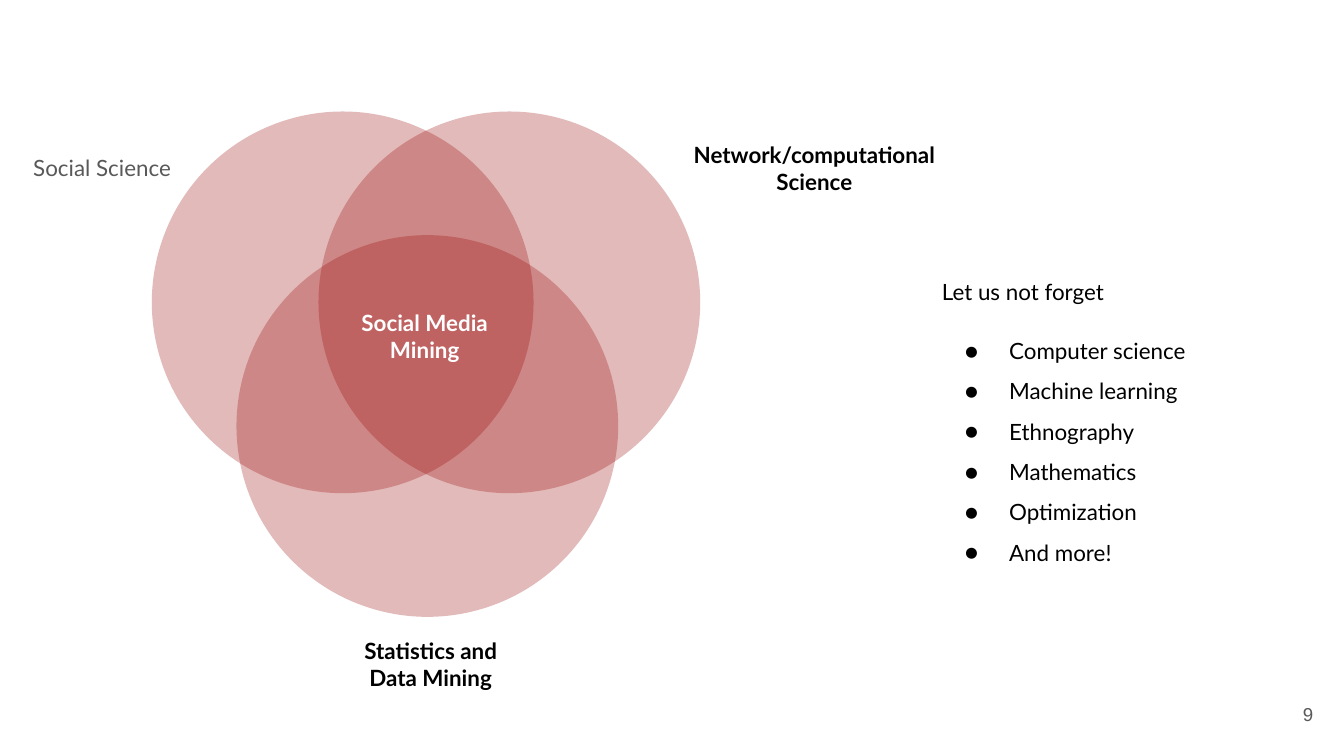
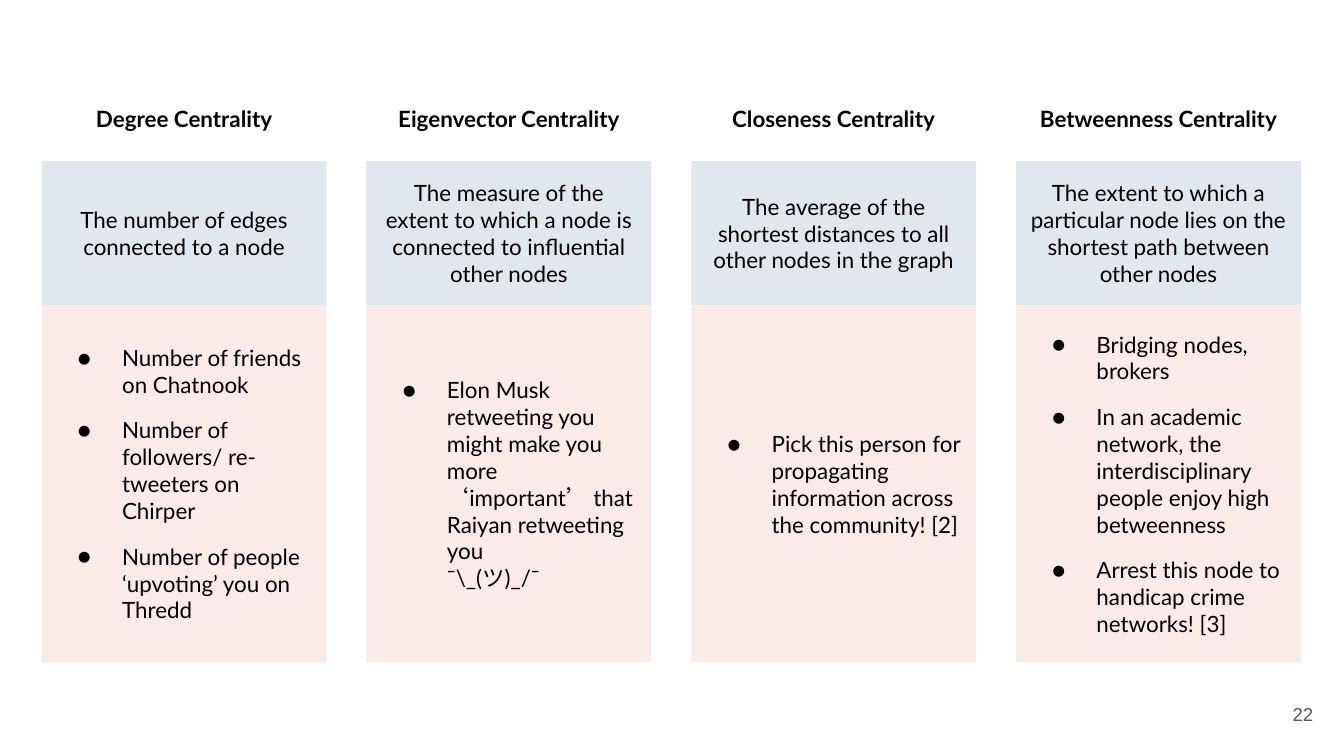
"""Build two slides: a Venn diagram of social media mining, and four centrality measures."""
from copy import deepcopy

from lxml.etree import SubElement as Sub
from pptx import Presentation
from pptx.dml.color import RGBColor as RGB
from pptx.enum.shapes import MSO_SHAPE as SHAPE
from pptx.enum.text import MSO_ANCHOR as ANCHOR, PP_ALIGN as ALIGN
from pptx.oxml.ns import qn
from pptx.util import Inches, Pt

COLORS = {"ink": "000000", "gray": "595959", "white": "FFFFFF",
          "venn": "980000", "blue": "003B71", "rose": "E6B8AF"}

CIRCLES = [(1.13, 0.83), (2.37, 0.83), (1.76, 1.75)]
LABELS = [
    ("Social Science", (0.12, 1.07, 1.28, 0.36), "gray", False),
    ("Network/computational Science", (4.96, 1.07, 2.2, 0.36), "ink", True),
    ("Statistics and Data Mining", (2.45, 4.76, 1.51, 0.36), "ink", True),
    ("Social Media Mining", (2.52, 2.26, 1.28, 0.48), "white", True),
]
FIELDS = ["Let us not forget", "Computer science", "Machine learning",
          "Ethnography", "Mathematics", "Optimization", "And more!"]

MEASURES = [
    ("Degree Centrality", "The number of edges connected to a node",
     ["Number of friends on Chatnook",
      "Number of followers/ re-tweeters on Chirper",
      "Number of people ‘upvoting’ you on Thredd"]),
    ("Eigenvector Centrality",
     "The measure of the extent to which a node is connected to influential other nodes",
     ["Elon Musk retweeting you might make you more ‘important’ "
      "that Raiyan retweeting you \n¯\\_(ツ)_/¯"]),
    ("Closeness Centrality",
     "The average of the shortest distances to all other nodes in the graph",
     ["Pick this person for propagating information across the community! [2]"]),
    ("Betweenness Centrality",
     "The extent to which a particular node lies on the shortest path between other nodes",
     ["Bridging nodes, brokers",
      "In an academic network, the interdisciplinary people enjoy high betweenness",
      "Arrest this node to handicap crime networks! [3]"]),
]
LEFT, LAST, WIDE = 0.31, 7.56, 2.12


def bullet(par, font):
    props = par._p.get_or_add_pPr()
    props.set("marL", str(Inches(0.5)))
    props.set("indent", str(Inches(-0.33)))
    tint = Sub(props, qn("a:buClr"))
    Sub(tint, qn("a:srgbClr"), val=COLORS["ink"])
    Sub(props, qn("a:buFont"), typeface=font)
    Sub(props, qn("a:buChar"), char="●")


def write(shape, lines, size=12, font="Lato", color="ink", bold=False,
          align=ALIGN.CENTER, anchor=ANCHOR.MIDDLE, space=None,
          before=(), after=0, dots=None):
    """Fill a shape with paragraphs; those from index dots on get bullets."""
    frame = shape.text_frame
    frame.word_wrap = True
    frame.vertical_anchor = anchor
    frame.margin_left = frame.margin_right = Inches(0.1)
    frame.margin_top = frame.margin_bottom = Inches(0.1)
    for i, line in enumerate(lines):
        par = frame.add_paragraph() if i else frame.paragraphs[0]
        par.text = line
        par.alignment = align
        par.line_spacing = space
        par.space_before = Pt(10 if i in before else 0)
        par.space_after = Pt(after if i == len(lines) - 1 else 0)
        if dots is not None and i >= dots:
            bullet(par, font)
        for run in par.runs:
            run.font.size = Pt(size)
            run.font.name = font
            run.font.bold = bold
            run.font.color.rgb = RGB.from_string(COLORS[color])
        for gap in par._p.findall(qn("a:br")):
            gap.append(deepcopy(par.runs[0]._r.rPr))


def label(slide, box, lines, **style):
    write(slide.shapes.add_textbox(*map(Inches, box)), lines, **style)


def block(slide, kind, box, color, alpha):
    shape = slide.shapes.add_shape(kind, *map(Inches, box))
    shape.shadow.inherit = False
    shape.fill.solid()
    shape.fill.fore_color.rgb = RGB.from_string(COLORS[color])
    tint = shape._element.spPr.find(qn("a:solidFill"))[0]
    Sub(tint, qn("a:alpha"), val=str(alpha * 1000))
    shape.line.fill.background()
    return shape


def page(deck, number):
    slide = deck.slides.add_slide(deck.slide_layouts[6])
    label(slide, (9.27, 5.1, 0.6, 0.43), [number], size=10, font="Arial",
          color="gray", align=ALIGN.RIGHT)
    return slide


def venn(deck):
    slide = page(deck, "9")
    for x, y in CIRCLES:
        block(slide, SHAPE.OVAL, (x, y, 2.84, 2.84), "venn", 27)
    for words, box, color, bold in LABELS:
        label(slide, box, [words], color=color, bold=bold)
    label(slide, (6.91, 1.87, 2.75, 3.13), FIELDS, align=ALIGN.LEFT,
          anchor=ANCHOR.TOP, space=1.5, before=(1,), dots=1)


def measures(deck):
    slide = page(deck, "22")
    step = (LAST - LEFT) / (len(MEASURES) - 1)
    for i, (name, sense, notes) in enumerate(MEASURES):
        x = LEFT + i * step
        label(slide, (x, 0.67, WIDE, 0.4), [name], bold=True, space=1.15, after=10)
        top = block(slide, SHAPE.RECTANGLE, (x, 1.2, WIDE, 1.07), "blue", 12)
        write(top, [sense])
        body = block(slide, SHAPE.RECTANGLE, (x, 2.27, WIDE, 2.66), "rose", 28)
        write(body, notes, align=ALIGN.LEFT, before=range(1, len(notes)),
              after=10, dots=0)


def main():
    deck = Presentation()
    deck.slide_width = Inches(10)
    deck.slide_height = deck.slide_width * 9 // 16
    venn(deck)
    measures(deck)
    deck.save("out.pptx")


if __name__ == "__main__":
    main()
